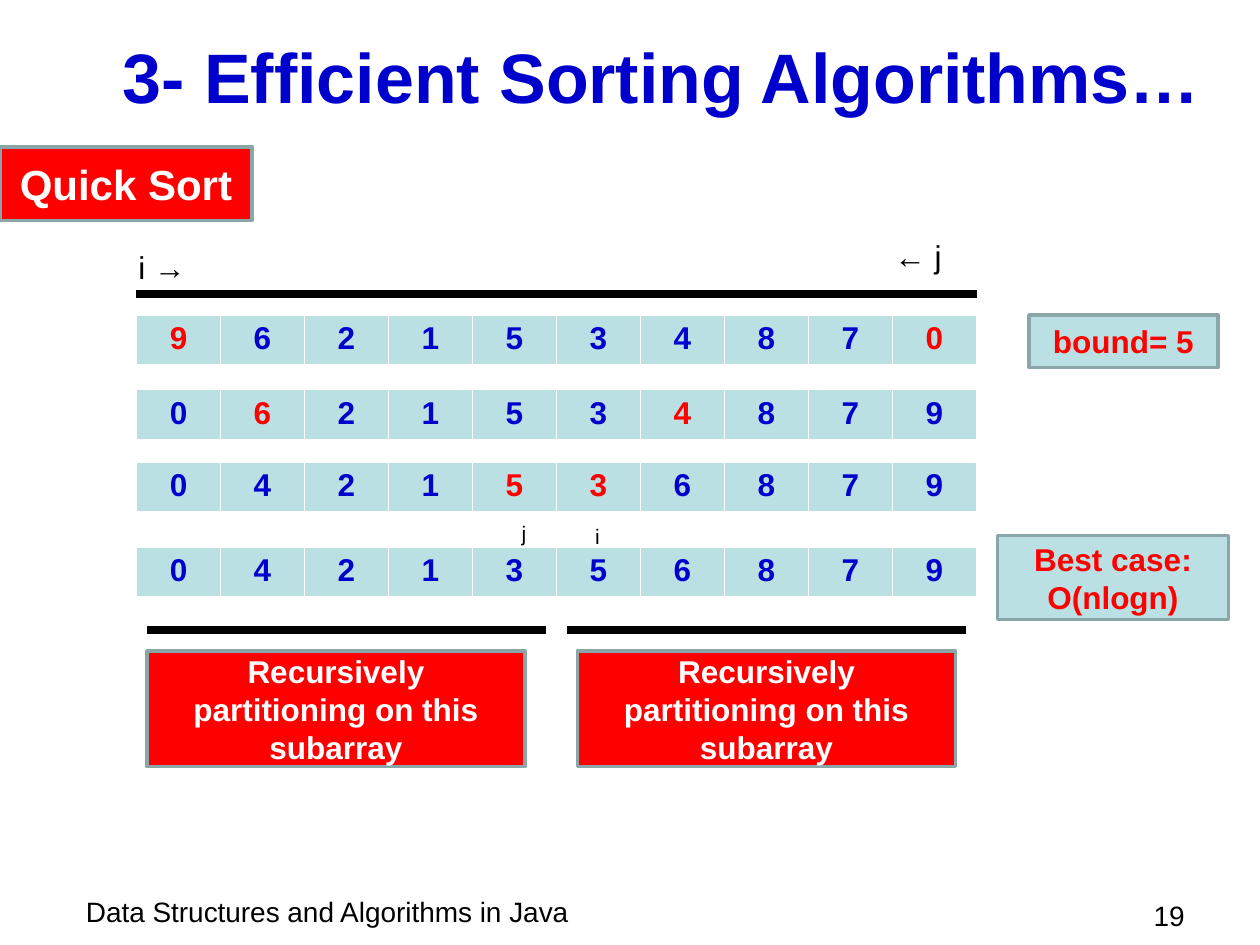
import pptx
import pptx.dml.color
import pptx.enum.shapes
import pptx.enum.text
import pptx.oxml
import pptx.oxml.ns
import pptx.util

COLORS = {"blue": "0000CC", "red": "FF0000", "pale": "BBE0E3", "edge": "8AA6A8",
          "white": "FFFFFF", "black": "000000"}
ALIGN = pptx.enum.text.PP_ALIGN
ANCHOR = pptx.enum.text.MSO_ANCHOR


def rgb(name):
    return pptx.dml.color.RGBColor.from_string(COLORS[name])


def grid(*counts):
    """Turn grid counts, twelve to the inch, into lengths."""
    return [pptx.util.Inches(count / 12) for count in counts]


def write(frame, text, size=18, color="black", bold=False, align=ALIGN.LEFT):
    paragraph = frame.paragraphs[0]
    paragraph.alignment = align
    run = paragraph.add_run()
    run.text = text
    run.font.name = "Arial"
    run.font.size = pptx.util.Pt(size)
    run.font.bold = bold
    run.font.color.rgb = rgb(color)


def border_cell(cell, widths):
    properties = cell._tc.get_or_add_tcPr()
    for position, (side, width) in enumerate(widths.items()):
        properties.insert(position, pptx.oxml.parse_xml(
            f'<a:{side} {pptx.oxml.ns.nsdecls("a")} w="{pptx.util.Pt(width)}">'
            f'<a:solidFill><a:srgbClr val="{COLORS["white"]}"/></a:solidFill></a:{side}>'))


class SortSlide:
    borders = {"lnL": 1, "lnR": 1, "lnT": 1, "lnB": 3}

    def __init__(self, deck):
        self.slide = deck.slides.add_slide(deck.slide_layouts[5])
        self.shapes = self.slide.shapes

    def title(self, text, at):
        heading = self.shapes.title
        heading.left, heading.top, heading.width, heading.height = grid(*at)
        frame = heading.text_frame
        frame.word_wrap = True
        frame.auto_size = pptx.enum.text.MSO_AUTO_SIZE.NONE
        frame.vertical_anchor = ANCHOR.MIDDLE
        write(frame, text, size=40, color="blue", bold=True, align=ALIGN.CENTER)

    def label(self, text, at, **style):
        frame = self.shapes.add_textbox(*grid(*at)).text_frame
        frame.word_wrap = True
        write(frame, text, **style)

    def box(self, text, at, fill="red", color="white", size=18):
        panel = self.shapes.add_shape(pptx.enum.shapes.MSO_SHAPE.RECTANGLE, *grid(*at))
        panel.shadow.inherit = False
        panel.fill.solid()
        panel.fill.fore_color.rgb = rgb(fill)
        panel.line.color.rgb = rgb("edge")
        panel.line.width = pptx.util.Pt(2)
        panel.text_frame.word_wrap = True
        panel.text_frame.vertical_anchor = ANCHOR.MIDDLE
        write(panel.text_frame, text, size=size, color=color, bold=True, align=ALIGN.CENTER)

    def array(self, digits, top, swapped=()):
        """Draw one state of the array, with the swapped positions in red."""
        table = self.shapes.add_table(1, len(digits), *grid(13, top, 80, 4.9)).table
        for index, digit in enumerate(digits):
            cell = table.cell(0, index)
            cell.fill.solid()
            cell.fill.fore_color.rgb = rgb("pale")
            border_cell(cell, self.borders)
            write(cell.text_frame, digit, color="red" if index in swapped else "blue",
                  bold=True, align=ALIGN.CENTER)

    def bar(self, left, right, top):
        line = self.shapes.add_connector(pptx.enum.shapes.MSO_CONNECTOR.STRAIGHT,
                                         *grid(left, top, right, top))
        line.line.color.rgb = rgb("black")
        line.line.width = pptx.util.Pt(4.5)
        line._element.spPr.append(pptx.oxml.parse_xml(
            f'<a:effectLst {pptx.oxml.ns.nsdecls("a")}/>'))


def main():
    deck = pptx.Presentation()
    deck.slide_width, deck.slide_height = grid(120, 90)
    page = SortSlide(deck)

    page.label("Data Structures and Algorithms in Java", (7, 84.6, 68, 4.4), size=16)
    page.title("3- Efficient Sorting Algorithms…", (6, 3, 114, 8.4))
    page.label("19", (105, 85, 9, 4), size=16, align=ALIGN.RIGHT)
    page.box("Quick Sort", (0, 14, 24, 7), size=24)

    for digits, top, swapped in (("9621534870", 30, (0, 9)), ("0621534879", 37.1, (1, 6)),
                                 ("0421536879", 44, (4, 5)), ("0421356879", 52.1, ())):
        page.array(digits, top, swapped)

    for left, right, top in ((13, 93, 28), (14, 52, 60), (54, 92, 60)):
        page.bar(left, right, top)
    for left in (14, 55):
        page.box("Recursively partitioning on this subarray", (left, 62, 36, 11))

    page.box("bound= 5", (98, 30, 18, 5), fill="pale", color="red")
    page.box("Best case: O(nlogn)", (95, 51, 22, 8), fill="pale", color="red")

    for pointer, left, top, size in (("i →", 12, 23, 18), ("← j", 84, 22, 18),
                                     ("j", 48.5, 49, 12), ("i", 55.5, 49.3, 12)):
        page.label(pointer, (left, top, 8, size / 4), size=size)

    deck.save("out.pptx")


if __name__ == "__main__":
    main()
